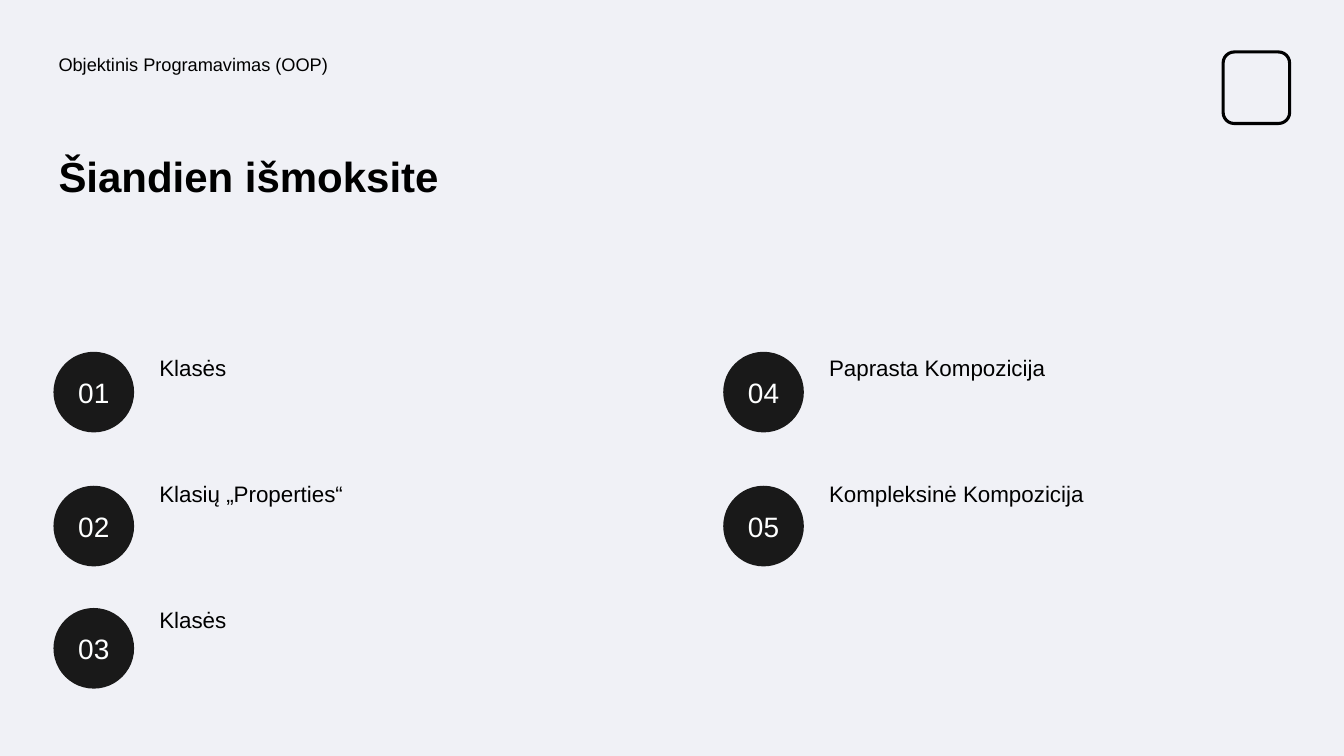
from dataclasses import dataclass

from pptx import Presentation
from pptx.dml.color import RGBColor
from pptx.enum.shapes import MSO_SHAPE
from pptx.enum.text import MSO_ANCHOR, PP_ALIGN
from pptx.slide import Slide
from pptx.util import Pt

ELLIPSE = MSO_SHAPE.OVAL
BADGE = MSO_SHAPE.ROUNDED_RECTANGLE
TOP, MIDDLE = MSO_ANCHOR.TOP, MSO_ANCHOR.MIDDLE
LEFT, CENTER = PP_ALIGN.LEFT, PP_ALIGN.CENTER

BACKGROUND, BLACK, CIRCLE_FILL, NUMBER_COLOR = "F0F1F6", "000000", "191919", "FEFFFF"
MARGIN = 38.2
COLUMN_STEP = 478.4
FIRST_TOP = 251.3
TOPIC_STEP = 90
CIRCLE_TOPS = (FIRST_TOP, 347, 434.3)
CIRCLE_SIZE = 57.6
NUMBER_WIDTH, NUMBER_HEIGHT = 34, 29.5
INSET = 3.6


@dataclass
class Area:
    left: float
    top: float
    width: float
    height: float

    def lengths(self) -> tuple[Pt, Pt, Pt, Pt]:
        return Pt(self.left), Pt(self.top), Pt(self.width), Pt(self.height)


@dataclass
class TextStyle:
    size: float
    color: str = BLACK
    bold: bool = False
    align: PP_ALIGN = LEFT
    anchor: MSO_ANCHOR = TOP
    line_spacing: float = 0.9
    space_before: float = 10


@dataclass
class Topic:
    number: int
    title: str
    column: int
    row: int


HEADER = TextStyle(13)
TITLE = TextStyle(30, bold=True, space_before=0)
TOPIC = TextStyle(16)
NUMBER = TextStyle(20, NUMBER_COLOR, align=CENTER, anchor=MIDDLE, line_spacing=1, space_before=0)

TOPICS = (
    Topic(1, "Klasės", 0, 0),
    Topic(2, "Klasių „Properties“", 0, 1),
    Topic(3, "Klasės", 0, 2),
    Topic(4, "Paprasta Kompozicija", 1, 0),
    Topic(5, "Kompleksinė Kompozicija", 1, 1),
)


def color(value: str) -> RGBColor:
    return RGBColor.from_string(value)


def apply(target: object, values: dict[str, object]) -> None:
    for name, value in values.items():
        setattr(target, name, value)


def add_text(page: Slide, area: Area, text: str, style: TextStyle) -> None:
    frame = page.shapes.add_textbox(*area.lengths()).text_frame
    margins = {f"margin_{side}": Pt(INSET) for side in ("left", "top", "right", "bottom")}
    apply(frame, {"word_wrap": True, "vertical_anchor": style.anchor, **margins})
    para = frame.paragraphs[0]
    apply(para, {
        "alignment": style.align,
        "line_spacing": style.line_spacing,
        "space_before": Pt(style.space_before),
    })
    span = para.add_run()
    span.text = text
    apply(span.font, {"name": "Arial", "size": Pt(style.size), "bold": style.bold})
    span.font.color.rgb = color(style.color)


def add_circle(page: Slide, area: Area) -> None:
    circle = page.shapes.add_shape(ELLIPSE, *area.lengths())
    circle.shadow.inherit = False
    circle.fill.solid()
    circle.fill.fore_color.rgb = color(CIRCLE_FILL)
    circle.line.fill.background()


def add_badge(page: Slide, area: Area) -> None:
    badge = page.shapes.add_shape(BADGE, *area.lengths())
    badge.shadow.inherit = False
    badge.fill.background()
    badge.line.color.rgb = color(BLACK)
    badge.line.width = Pt(2.2)


def add_topic(page: Slide, topic: Topic) -> None:
    left = MARGIN + topic.column * COLUMN_STEP
    circle_top = CIRCLE_TOPS[topic.row]
    add_circle(page, Area(left, circle_top, CIRCLE_SIZE, CIRCLE_SIZE))
    number_area = Area(
        left + (CIRCLE_SIZE - NUMBER_WIDTH) / 2,
        circle_top + (CIRCLE_SIZE - NUMBER_HEIGHT) / 2,
        NUMBER_WIDTH,
        NUMBER_HEIGHT,
    )
    add_text(page, number_area, f"{topic.number:02d}", NUMBER)
    title_area = Area(left + 72, FIRST_TOP + topic.row * TOPIC_STEP, 333.4, 71.3)
    add_text(page, title_area, topic.title, TOPIC)


def main() -> None:
    deck = Presentation()
    apply(deck, {"slide_width": Pt(960), "slide_height": Pt(540)})
    page = deck.slides.add_slide(deck.slide_layouts[6])
    page.background.fill.solid()
    page.background.fill.fore_color.rgb = color(BACKGROUND)

    add_badge(page, Area(873.7, 37.1, 47.5, 51.1))
    add_text(page, Area(MARGIN, 36, 442, 36), "Objektinis Programavimas (OOP)", HEADER)
    add_text(page, Area(MARGIN, 108, 406, 107.3), "Šiandien išmoksite", TITLE)
    for topic in TOPICS:
        add_topic(page, topic)

    deck.save("out.pptx")


if __name__ == "__main__":
    main()
